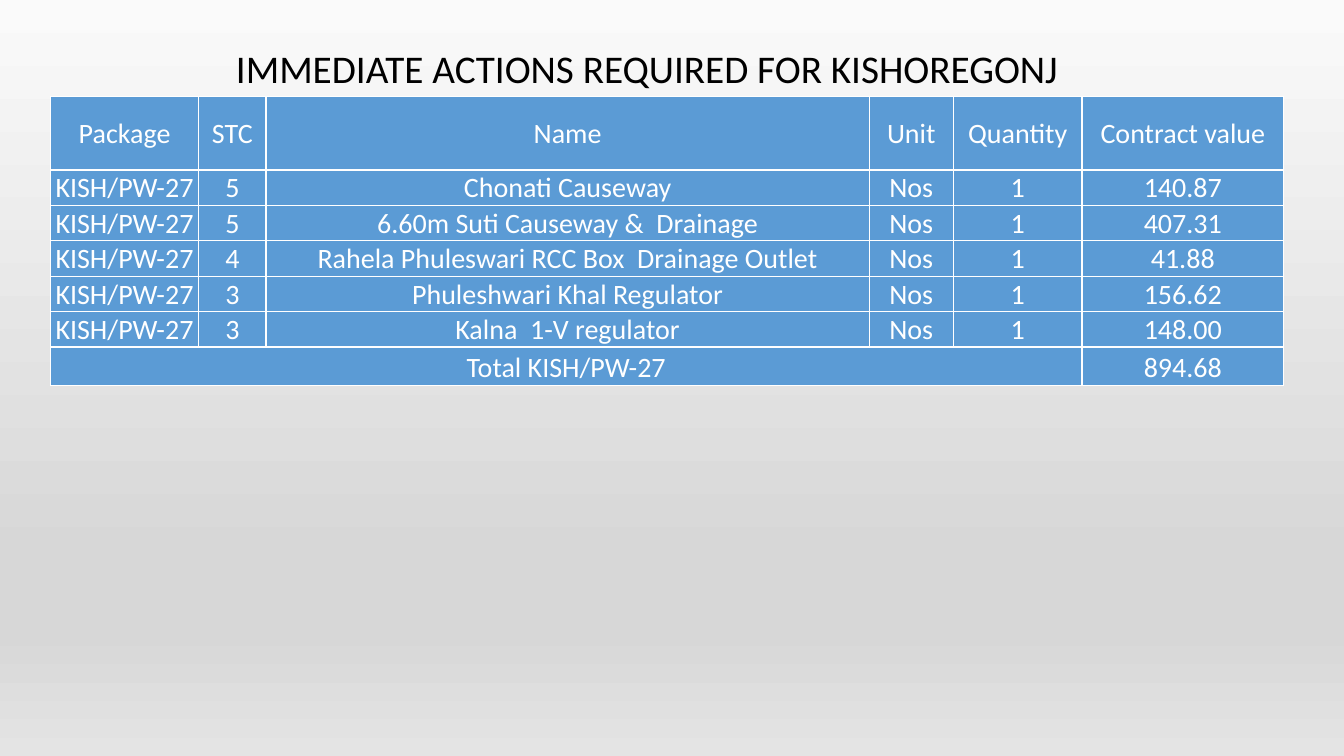
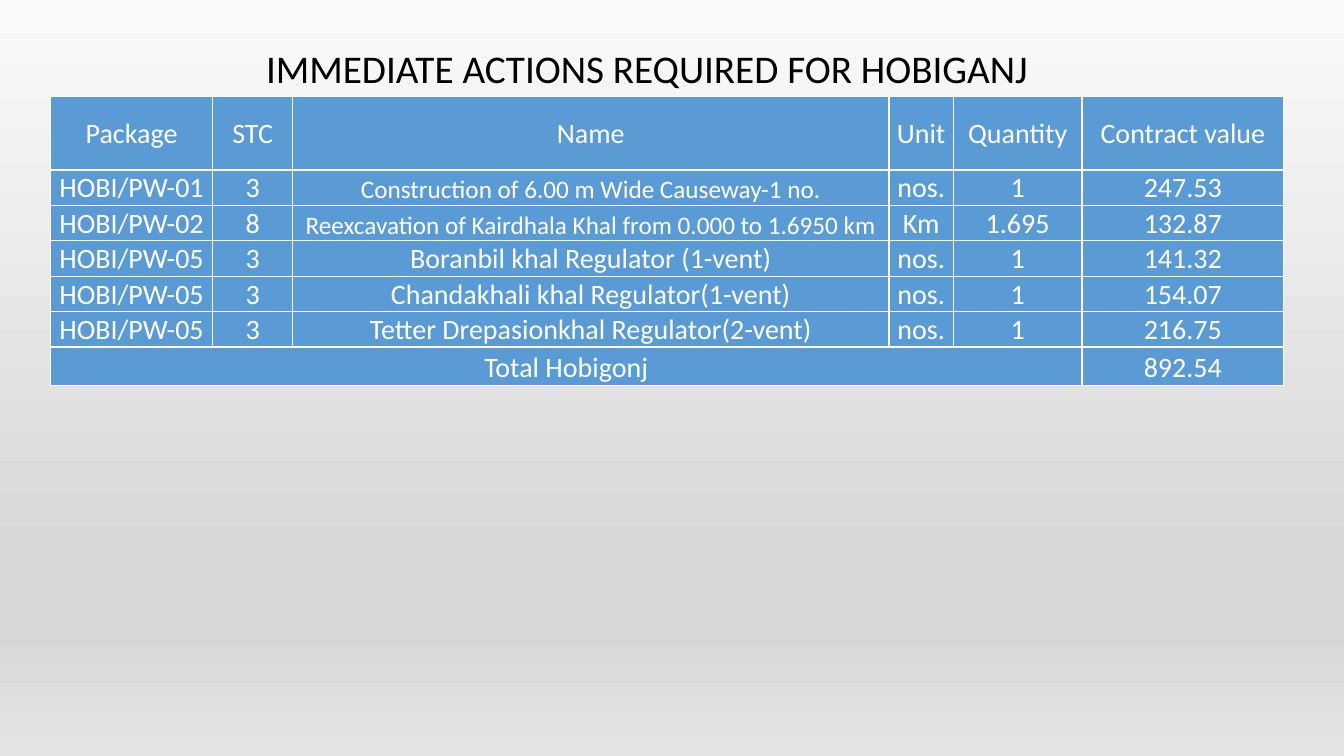
from dataclasses import dataclass

from lxml.etree import SubElement as Sub
from pptx import Presentation
from pptx.dml.color import RGBColor as RGB
from pptx.enum.text import MSO_ANCHOR as Anchor, MSO_AUTO_SIZE as Fit, PP_ALIGN as Align
from pptx.oxml.ns import qn
from pptx.util import Pt


@dataclass(frozen=True)
class Theme:
    font: str = "Calibri"
    ink: str = "000000"
    paper: str = "FFFFFF"
    cell: str = "5B9BD5"
    fade: tuple = ((0, "FAFAFA"), (74, "D7D7D7"), (83, "D7D7D7"), (100, "E4E4E4"))
    head: int = 28
    body: int = 20
    small: int = 18
    rule: int = 1


THEME = Theme()
SIZE = (960, 540)
TITLE = (0, -39.6, 924, 108.7)
TABLE = (36, 69)
INSETS = (0.7, 0.7, 0.7, 0)
HEAD_ROW, ROW, TOTAL_ROW = 52.5, 25.3, 27.2

HEADS = ("Package", "STC", "Name", "Unit", "Quantity", "Contract value")
# "small" lists the body rows whose name is set in the smaller size.
SLIDES = [
    {
        "title": "IMMEDIATE ACTIONS REQUIRED FOR KISHOREGONJ",
        "cols": (106, 48, 431, 60, 92, 144),
        "small": (),
        "rows": [
            ("KISH/PW-27", "5", "Chonati Causeway", "Nos", "1", "140.87"),
            ("KISH/PW-27", "5", "6.60m Suti Causeway &  Drainage", "Nos", "1", "407.31"),
            ("KISH/PW-27", "4", "Rahela Phuleswari RCC Box  Drainage Outlet", "Nos", "1", "41.88"),
            ("KISH/PW-27", "3", "Phuleshwari Khal Regulator", "Nos", "1", "156.62"),
            ("KISH/PW-27", "3", "Kalna  1-V regulator", "Nos", "1", "148.00"),
        ],
        "total": ("Total KISH/PW-27", "894.68"),
    },
    {
        "title": "IMMEDIATE ACTIONS REQUIRED FOR HOBIGANJ",
        "cols": (116, 57, 426, 46, 92, 144),
        "small": (1, 2),
        "rows": [
            ("HOBI/PW-01", "3", "Construction of 6.00 m Wide Causeway-1 no.", "nos.", "1", "247.53"),
            ("HOBI/PW-02", "8", "Reexcavation of Kairdhala Khal from 0.000 to 1.6950 km",
             "Km", "1.695", "132.87"),
            ("HOBI/PW-05", "3", "Boranbil khal Regulator (1-vent)", "nos.", "1", "141.32"),
            ("HOBI/PW-05", "3", "Chandakhali khal Regulator(1-vent)", "nos.", "1", "154.07"),
            ("HOBI/PW-05", "3", "Tetter Drepasionkhal Regulator(2-vent)", "nos.", "1", "216.75"),
        ],
        "total": ("Total Hobigonj", "892.54"),
    },
]


def paint(master):
    """Give the master its vertical gradient."""
    fill = master.background.fill
    fill.gradient()
    fill.gradient_angle = 270
    stops = master.element.find(".//" + qn("a:gsLst"))
    for stop in list(stops):
        stops.remove(stop)
    for place, tint in THEME.fade:
        stop = Sub(stops, qn("a:gs"), pos=str(place * 1000))
        Sub(stop, qn("a:srgbClr"), val=tint)


def write(frame, text, size, tint):
    par = frame.paragraphs[0]
    par.alignment = Align.CENTER
    run = par.add_run()
    run.text = text
    run.font.name = THEME.font
    run.font.size = Pt(size)
    run.font.color.rgb = RGB.from_string(tint)
    return par


def add_title(slide, text):
    title = slide.shapes.title
    title.left, title.top, title.width, title.height = map(Pt, TITLE)
    frame = title.text_frame
    frame.auto_size = Fit.NONE
    frame.vertical_anchor = Anchor.BOTTOM
    write(frame, text, THEME.head, THEME.ink).line_spacing = 0.9


def dress(cell, anchor):
    """Set the borders, fill, insets and anchor of a cell."""
    props = cell._tc.get_or_add_tcPr()
    for side in "LRTB":
        line = Sub(props, qn("a:ln" + side), w=str(Pt(THEME.rule)))
        Sub(Sub(line, qn("a:solidFill")), qn("a:srgbClr"), val=THEME.paper)
    cell.fill.solid()
    cell.fill.fore_color.rgb = RGB.from_string(THEME.cell)
    cell.margin_left, cell.margin_right, cell.margin_top, cell.margin_bottom = map(Pt, INSETS)
    cell.vertical_anchor = anchor


def add_grid(slide, data):
    label, total = data["total"]
    last = len(HEADS) - 1
    rows = [HEADS, *data["rows"], (label, *[""] * (last - 1), total)]
    highs = [HEAD_ROW, *[ROW] * len(data["rows"]), TOTAL_ROW]
    box = (*TABLE, sum(data["cols"]), sum(highs))
    table = slide.shapes.add_table(len(rows), len(HEADS), *map(Pt, box)).table
    table.first_row = table.horz_banding = False
    for col, wide in zip(table.columns, data["cols"]):
        col.width = Pt(wide)
    for r, (texts, high) in enumerate(zip(rows, highs)):
        table.rows[r].height = Pt(high)
        for c, text in enumerate(texts):
            cell = table.cell(r, c)
            dress(cell, Anchor.BOTTOM if r else Anchor.MIDDLE)
            if text:
                small = HEADS[c] == "Name" and r in data["small"]
                write(cell.text_frame, text, THEME.small if small else THEME.body, THEME.paper)
    end = len(rows) - 1
    table.cell(end, 0).merge(table.cell(end, last - 1))


def main():
    deck = Presentation()
    deck.slide_width, deck.slide_height = map(Pt, SIZE)
    paint(deck.slide_master)
    for data in SLIDES:
        slide = deck.slides.add_slide(deck.slide_layouts.get_by_name("Title Only"))
        add_title(slide, data["title"])
        add_grid(slide, data)
    deck.save("out.pptx")


if __name__ == "__main__":
    main()
